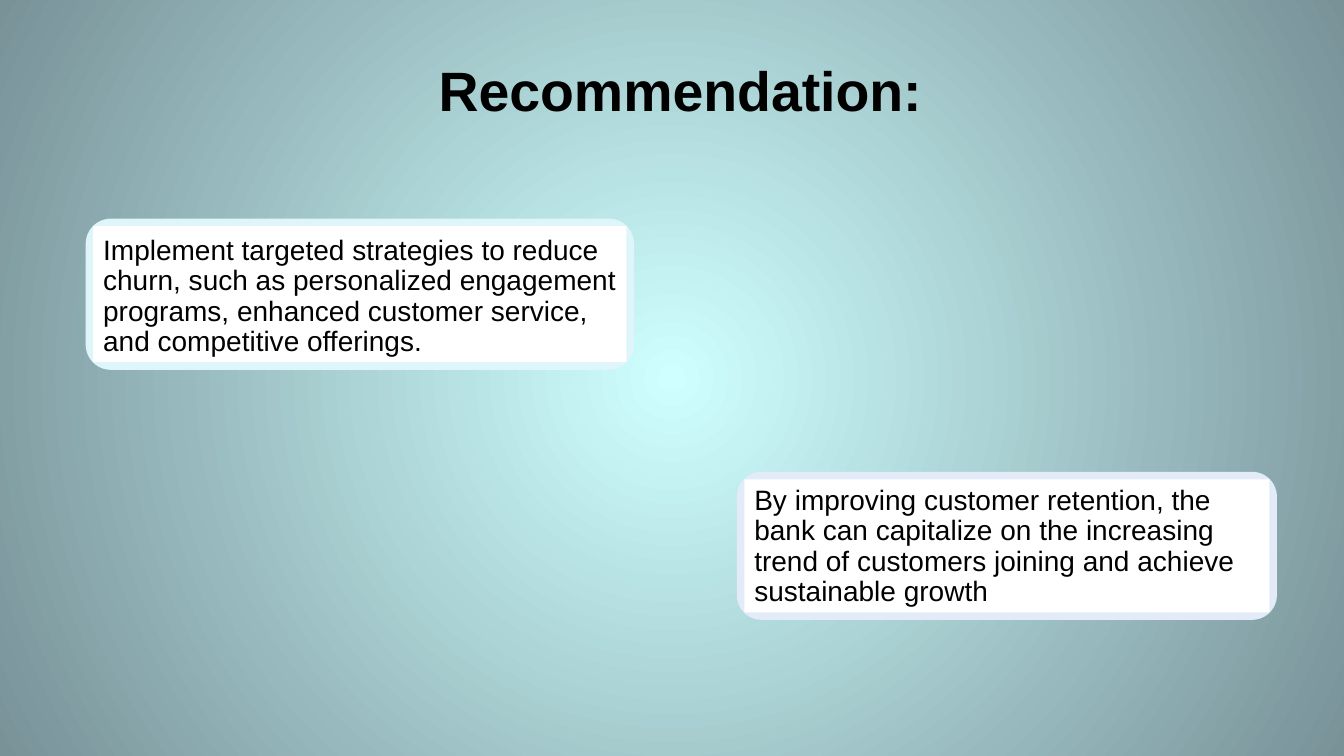
from lxml import etree
from pptx import Presentation, util as u
from pptx.dml.color import RGBColor
from pptx.enum import shapes, text
from pptx.oxml.ns import qn

SHAPE = shapes.MSO_SHAPE
ALIGN = text.PP_ALIGN
ANCHOR = text.MSO_ANCHOR


def tint(hex):
    return RGBColor.from_string(hex)


def write(shape, words, size=20, color="000000", bold=False,
          align=ALIGN.LEFT, anchor=ANCHOR.BOTTOM, space=0.9):
    frame = shape.text_frame
    frame.word_wrap = True
    frame.vertical_anchor = anchor
    para = frame.paragraphs[0]
    para.alignment = align
    para.line_spacing = space
    run = para.add_run()
    run.text = words
    font = run.font
    font.name = "Arial"
    font.size = u.Pt(size)
    font.bold = bold
    font.color.rgb = tint(color)


def block(group, kind, box, color):
    shape = group.shapes.add_shape(kind, *map(u.Cm, box))
    shape.shadow.inherit = False
    shape.fill.solid()
    shape.fill.fore_color.rgb = tint(color)
    shape.line.fill.background()
    return shape


def backdrop(slide, inner, outer):
    fill = slide.background.fill
    fill.gradient()
    for stop, place, color in zip(fill.gradient_stops, (0, 1), (inner, outer)):
        stop.position = place
        stop.color.rgb = tint(color)
    grad = slide.element.find(".//" + qn("a:gradFill"))
    grad.remove(grad.find(qn("a:lin")))
    ring = etree.SubElement(grad, qn("a:path"), path="circle")
    etree.SubElement(ring, qn("a:fillToRect"),
                     {side: "50000" for side in "ltrb"})


def title(slide, box, words):
    shape = slide.shapes.add_textbox(*map(u.Cm, box))
    write(shape, words, size=39.6, bold=True, align=ALIGN.CENTER,
          anchor=ANCHOR.MIDDLE, space=1.0)


def card(slide, box, words, color, rim=0.19):
    left, top, wide, high = box
    group = slide.shapes.add_group_shape()
    frame = block(group, SHAPE.ROUNDED_RECTANGLE, box, color)
    frame.adjustments[0] = 0.167
    inner = (left + rim, top + rim, wide - 2 * rim, high - 2 * rim)
    write(block(group, SHAPE.RECTANGLE, inner, "FFFFFF"), words)


def main():
    deck = Presentation()
    deck.slide_width = u.Cm(33.87)
    deck.slide_height = u.Cm(19.05)
    slide = deck.slides.add_slide(deck.slide_layouts[6])
    backdrop(slide, "CFFFFF", "789298")
    title(slide, (3.81, 1.14, 26.67, 2.21), "Recommendation:")
    card(slide, (2.16, 5.51, 13.82, 3.81),
         "Implement targeted strategies to reduce churn, such as personalized "
         "engagement programs, enhanced customer service, and competitive "
         "offerings.", "DEF5FA")
    card(slide, (18.57, 11.89, 13.61, 3.73),
         "By improving customer retention, the bank can capitalize on the "
         "increasing trend of customers joining and achieve sustainable growth",
         "E2EBF7")
    deck.save("out.pptx")


if __name__ == "__main__":
    main()
